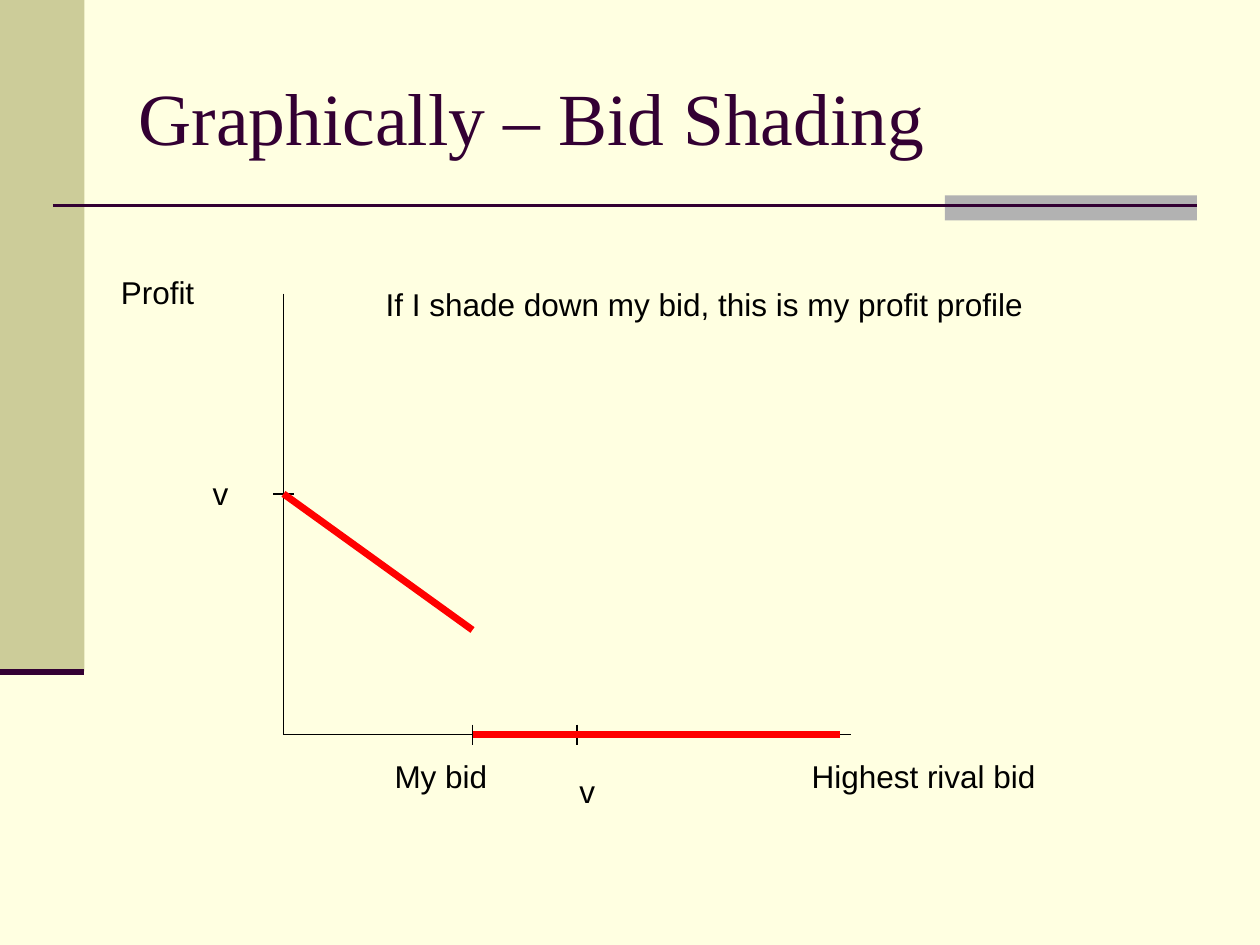
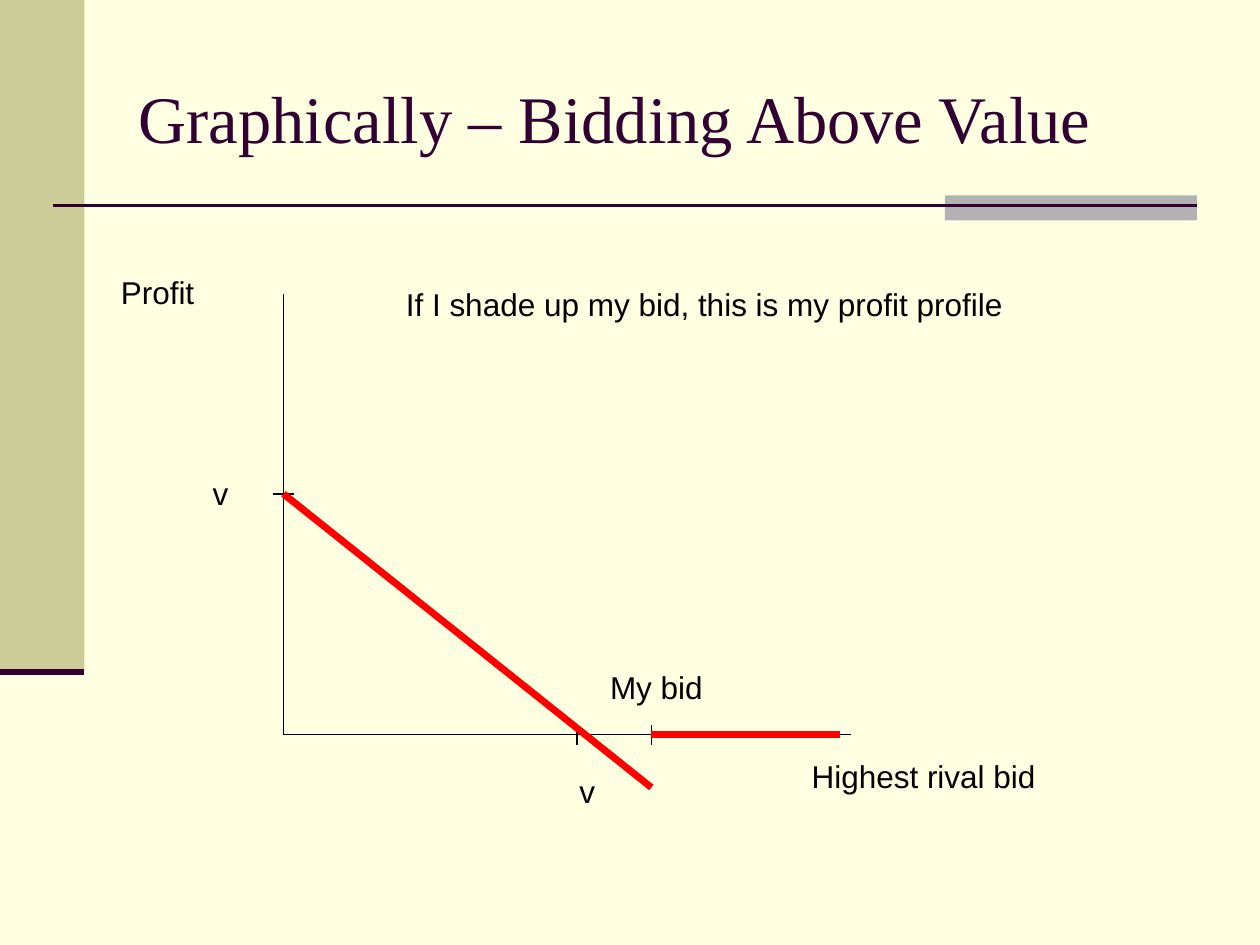
import dataclasses

import lxml.etree
import pptx
import pptx.dml.color
import pptx.enum.shapes
import pptx.enum.text
import pptx.oxml.ns
import pptx.util

Inches = pptx.util.Inches
RGBColor = pptx.dml.color.RGBColor

CREAM = RGBColor(0xFF, 0xFF, 0xE1)
OLIVE = RGBColor(0xCC, 0xCC, 0x99)
GREY = RGBColor(0xB2, 0xB2, 0xB2)
PLUM = RGBColor(0x33, 0x00, 0x33)
BLACK = RGBColor(0x00, 0x00, 0x00)
RED = RGBColor(0xFF, 0x00, 0x00)

TITLE_FONT = "Times New Roman"
LABEL_FORMAT = {"name": "Arial", "size": pptx.util.Pt(18)}
LABEL_HEIGHT = 0.4
TICK = 0.08
AXIS_WEIGHT = 0.75
PROFIT_WEIGHT = 4


@dataclasses.dataclass
class Box:
    left: float
    top: float
    width: float
    height: float

    def lengths(self):
        return [Inches(side) for side in dataclasses.astuple(self)]


@dataclasses.dataclass
class Bid:
    title: str
    title_size: int
    note: str
    note_width: float
    bid: float
    drop: float
    label_center: float
    label_top: float


PAGE = Box(0, 0, 10, 7.5)
TITLE = Box(1, 0.3, 8.5, 1.25)
PLOT = Box(2.25, 2.33, 4.5, 3.5)

BIDS = [
    Bid("Graphically – Bid Shading", 42,
        "If I shade down my bid, this is my profit profile", 5.3,
        bid=1.5, drop=2.67, label_center=1.25, label_top=3.63),
    Bid("Graphically – Bidding Above Value", 38,
        "If I shade up my bid, this is my profit profile", 5,
        bid=2.92, drop=3.92, label_center=2.96, label_top=2.92),
]


def format_font(font, color, values):
    for name, value in values.items():
        setattr(font, name, value)
    font.color.rgb = color


def add_band(page, box, color):
    band = page.shapes.add_shape(
        pptx.enum.shapes.MSO_SHAPE.RECTANGLE, *box.lengths())
    band.shadow.inherit = False
    band.fill.solid()
    band.fill.fore_color.rgb = color
    band.line.fill.background()


def add_line(page, box, start, end, color, weight):
    points = [Inches(length) for x, y in (start, end)
              for length in (box.left + x, box.top + y)]
    line = page.shapes.add_connector(
        pptx.enum.shapes.MSO_CONNECTOR.STRAIGHT, *points)
    line.line.color.rgb = color
    line.line.width = pptx.util.Pt(weight)
    lxml.etree.SubElement(line._element.spPr, pptx.oxml.ns.qn("a:effectLst"))


def add_label(page, box, text, center, top, width):
    place = Box(box.left + center - width / 2, box.top + top,
                width, LABEL_HEIGHT)
    label = page.shapes.add_textbox(*place.lengths())
    label.text_frame.word_wrap = False
    label.text_frame.auto_size = pptx.enum.text.MSO_AUTO_SIZE.SHAPE_TO_FIT_TEXT
    para = label.text_frame.paragraphs[0]
    para.alignment = pptx.enum.text.PP_ALIGN.CENTER
    span = para.add_run()
    span.text = text
    format_font(span.font, BLACK, LABEL_FORMAT)


def draw_frame(page, box):
    side = Box(box.left, box.top, 0.67, 5.33)
    add_band(page, side, OLIVE)
    add_band(page, Box(box.left + 7.5, box.top + 1.55, 2, 0.2), GREY)
    add_line(page, box, (0.42, 1.63), (9.5, 1.63), PLUM, 1.5)
    add_line(page, side, (0, side.height), (side.width, side.height), PLUM, 3.5)


def draw_title(page, box, text, size):
    title = page.shapes.title
    title.left, title.top, title.width, title.height = box.lengths()
    frame = title.text_frame
    frame.text = text
    frame.word_wrap = True
    frame.auto_size = pptx.enum.text.MSO_AUTO_SIZE.NONE
    frame.vertical_anchor = pptx.enum.text.MSO_ANCHOR.MIDDLE
    para = frame.paragraphs[0]
    para.alignment = pptx.enum.text.PP_ALIGN.LEFT
    format_font(para.runs[0].font, PLUM,
                {"name": TITLE_FONT, "size": pptx.util.Pt(size)})


def draw_plot(page, box, case):
    floor = box.height
    value_x, value_y, flat_end = 2.33, 1.59, 4.42
    axes = [((0, 0), (0, floor)), ((0, floor), (box.width, floor))]
    ticks = [((x, floor - TICK), (x, floor + TICK)) for x in (value_x, case.bid)]
    ticks.append(((-TICK, value_y), (TICK, value_y)))
    profit = [((0, value_y), (case.bid, case.drop)),
              ((case.bid, floor), (flat_end, floor))]
    for start, end in axes + ticks:
        add_line(page, box, start, end, BLACK, AXIS_WEIGHT)
    for start, end in profit:
        add_line(page, box, start, end, RED, PROFIT_WEIGHT)

    labels = [
        ("Profit", -1, -0.21, 0.85),
        ("v", -0.5, 1.38, 0.35),
        ("v", 2.41, 3.75, 0.35),
        ("Highest rival bid", 5.08, 3.63, 2.05),
        ("My bid", case.label_center, case.label_top, 1),
        (case.note, 3.34, -0.12, case.note_width),
    ]
    for text, center, top, width in labels:
        add_label(page, box, text, center, top, width)


def main():
    deck = pptx.Presentation()
    deck.slide_width, deck.slide_height = PAGE.lengths()[2:]
    background = deck.slide_master.background.fill
    background.solid()
    background.fore_color.rgb = CREAM
    for case in BIDS:
        page = deck.slides.add_slide(deck.slide_layouts.get_by_name("Title Only"))
        draw_frame(page, PAGE)
        draw_title(page, TITLE, case.title, case.title_size)
        draw_plot(page, PLOT, case)
    deck.save("out.pptx")


if __name__ == "__main__":
    main()
